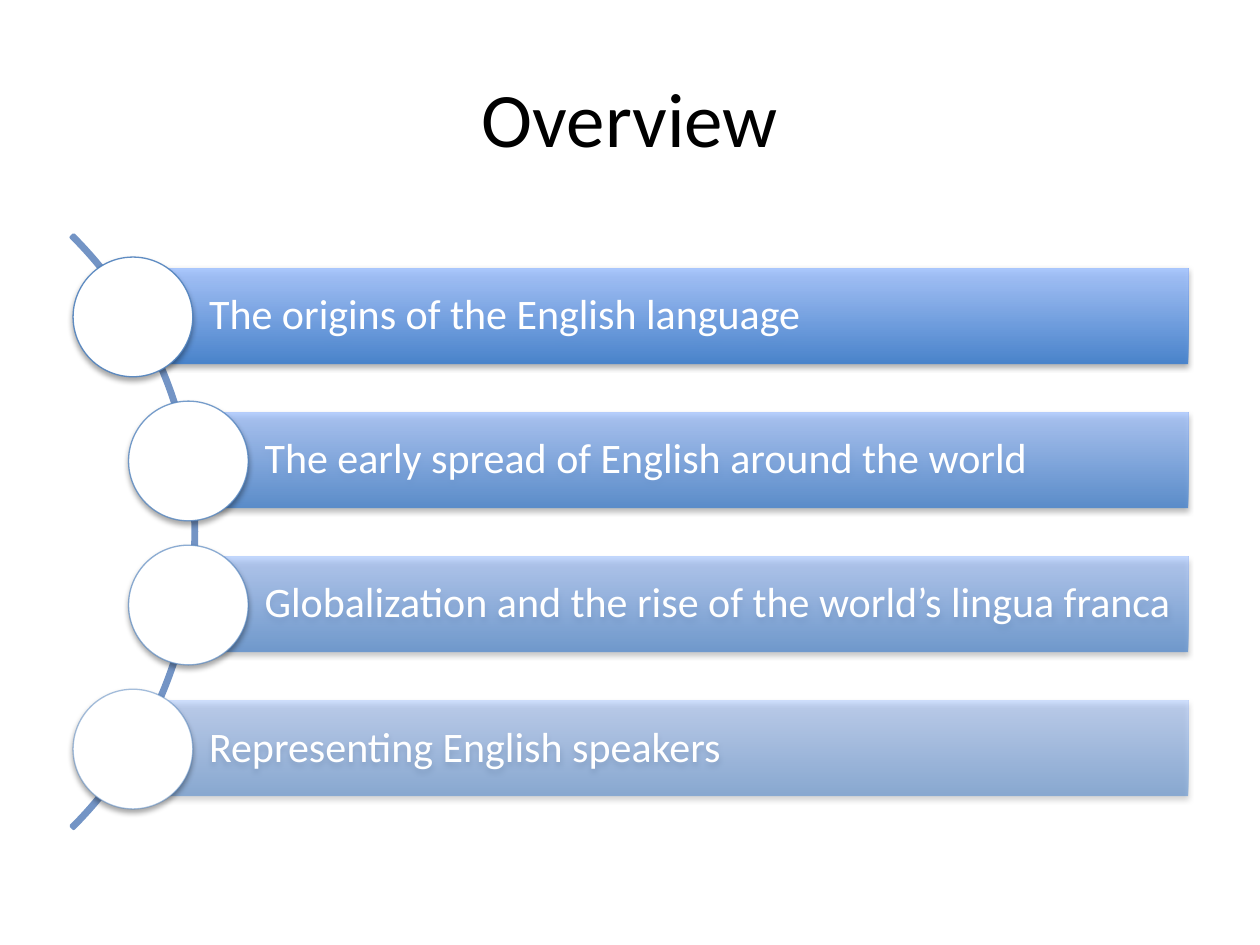
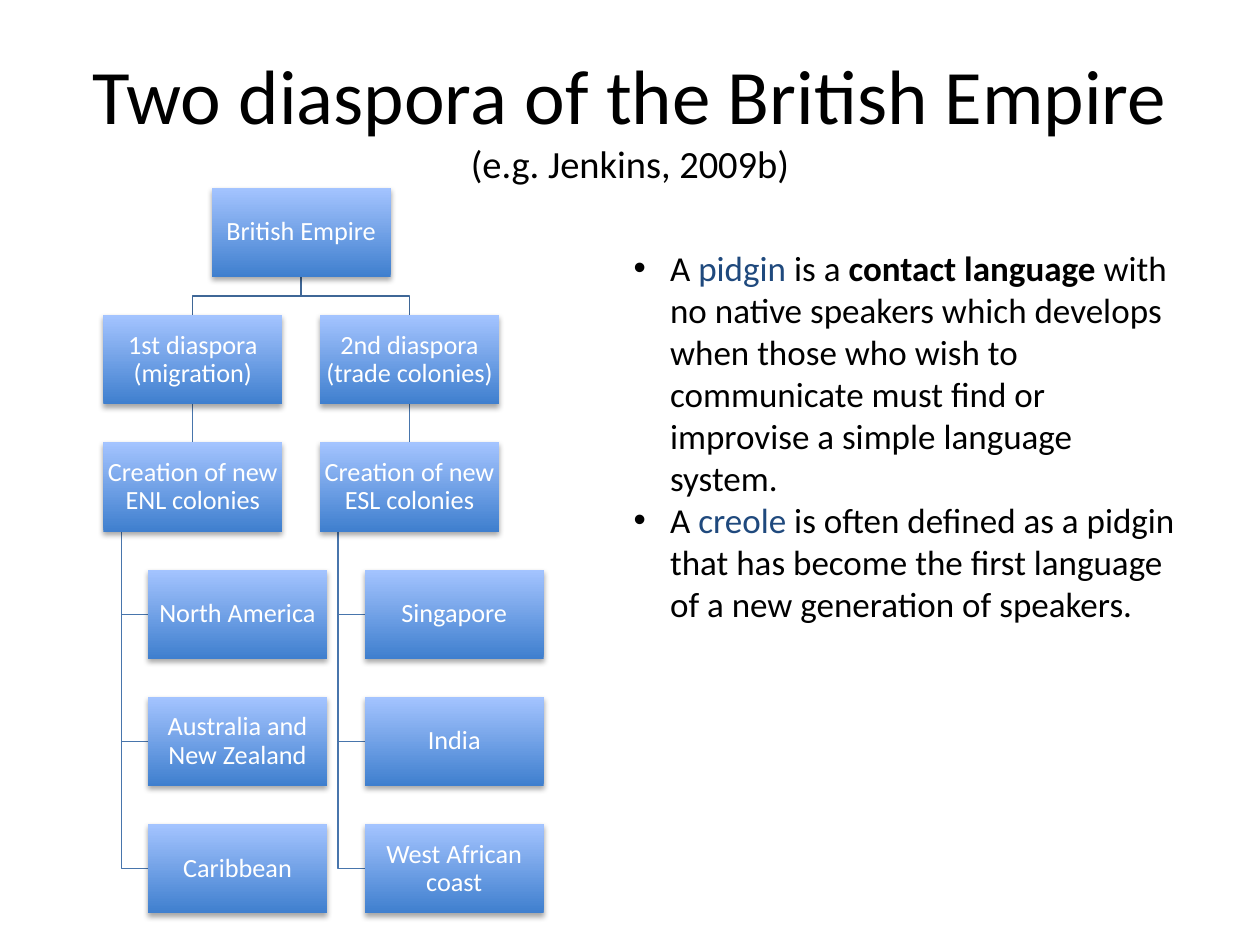
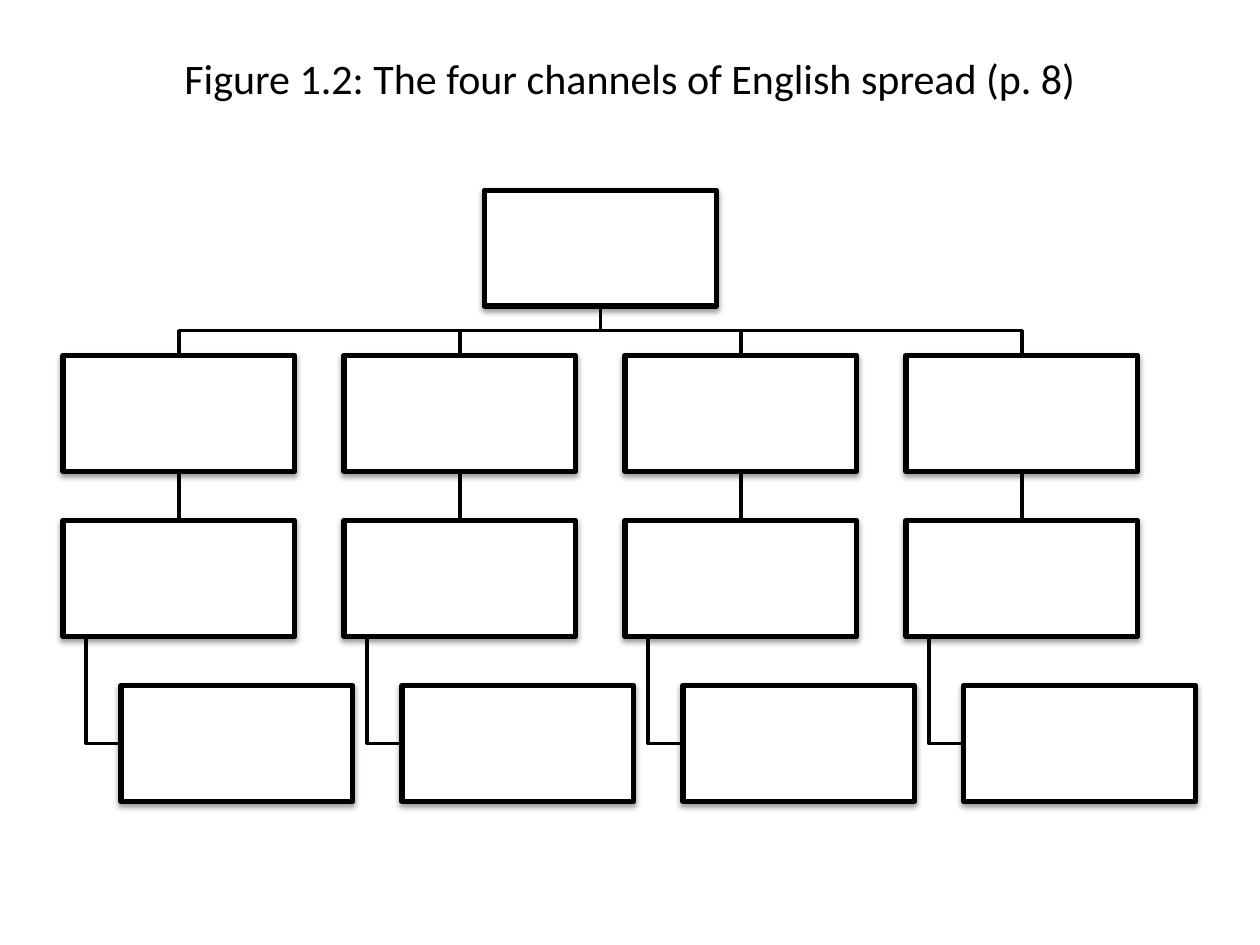
import pptx
import pptx.util
from lxml import etree
from pptx.dml.color import RGBColor
from pptx.enum.shapes import MSO_CONNECTOR, MSO_SHAPE
from pptx.enum.text import MSO_ANCHOR, PP_ALIGN
from pptx.oxml.ns import qn
from pptx.util import Inches

FONT = "Calibri"
BLACK = RGBColor(0x00, 0x00, 0x00)
WHITE = RGBColor(0xFF, 0xFF, 0xFF)
NAVY = RGBColor(0x1F, 0x49, 0x7D)
BLUE = RGBColor(0x4F, 0x81, 0xBD)
ARC_BLUE = RGBColor(0x73, 0x94, 0xC5)
LINK_BLUE = RGBColor(0x48, 0x75, 0xAC)
ROOT_LINK_BLUE = RGBColor(0x3F, 0x67, 0x97)
GRADIENT = (RGBColor(0x3F, 0x7F, 0xCE), RGBColor(0xA4, 0xC4, 0xFF))


def write(para, text, size=20, color=BLACK, bold=False, align=None, spacing=None):
    """Add a span to the paragraph and set the paragraph's format."""
    span = para.add_run()
    span.text = text
    span.font.name = FONT
    span.font.size = pptx.util.Pt(size)
    span.font.color.rgb = color
    span.font.bold = bold
    if align is not None:
        para.alignment = align
    if spacing is not None:
        para.line_spacing = spacing


def add_box(slide, kind, left, top, width, height, fill=None, line=None,
            line_width=0.75, opacity=100, shadow=35):
    """Add a shape with a soft shadow; without a fill it gets the blue gradient."""
    box = slide.shapes.add_shape(kind, Inches(left), Inches(top), Inches(width), Inches(height))
    if fill is None:
        box.fill.gradient()
        box.fill.gradient_angle = 90
        for stop, color in zip(box.fill.gradient_stops, GRADIENT):
            stop.color.rgb = color
    else:
        box.fill.solid()
        box.fill.fore_color.rgb = fill
    if line is None:
        box.line.fill.background()
    else:
        box.line.color.rgb = line
        box.line.width = pptx.util.Pt(line_width)
    properties = box.element.spPr
    if opacity < 100:
        for part in properties.iter(qn("a:gradFill"), qn("a:ln")):
            for color in part.iter(qn("a:srgbClr")):
                etree.SubElement(color, qn("a:alpha"), val=str(opacity * 1000))
    box.shadow.inherit = False
    outer = etree.SubElement(properties.find(qn("a:effectLst")), qn("a:outerShdw"),
                             blurRad="40000", dist="23000", dir="5400000", rotWithShape="0")
    color = etree.SubElement(outer, qn("a:srgbClr"), val=str(BLACK))
    etree.SubElement(color, qn("a:alpha"), val=str(shadow * 1000))
    return box


deck = pptx.Presentation()
deck.slide_width, deck.slide_height = Inches(10), Inches(7.5)

# Titles: top, height, anchor, spans with their sizes
titles = [
    (0.3, 1.25, MSO_ANCHOR.MIDDLE, [("Overview", 44)]),
    (0.3, 1.25, MSO_ANCHOR.MIDDLE,
     [("Two diaspora of the British Empire ", 44), ("(e.g. Jenkins, 2009b)", 22)]),
    (0.37, 0.98, MSO_ANCHOR.TOP,
     [("Figure 1.2: The four channels of English spread (p. 8)", 24)]),
]
slides = []
for top, height, anchor, spans in titles:
    slide = deck.slides.add_slide(deck.slide_layouts[5])
    title = slide.shapes.title
    title.left, title.top = Inches(0.5), Inches(top)
    title.width, title.height = Inches(9), Inches(height)
    title.text_frame.vertical_anchor = anchor
    for text, size in spans:
        write(title.text_frame.paragraphs[0], text, size=size, align=PP_ALIGN.CENTER)
    slides.append(slide)
overview, diaspora, channels = slides

# Overview: topics along an arc
arc = overview.shapes.add_shape(MSO_SHAPE.BLOCK_ARC, Inches(-5.1), Inches(0.89),
                                Inches(6.66), Inches(6.66))
for index, value in enumerate((189, 27, 0.004)):
    arc.adjustments[index] = value
arc.fill.background()
arc.line.color.rgb = ARC_BLUE
arc.line.width = pptx.util.Pt(2)
arc.shadow.inherit = False

topics = [
    (1.06, "The origins of the English language"),
    (1.5, "The early spread of English around the world"),
    (1.5, "Globalization and the rise of the world’s lingua franca"),
    (1.06, "Representing English speakers"),
]
for index, (left, topic) in enumerate(topics):
    top = 2.13 + 3.43 * index / 3
    opacity = round(90 - 40 * index / 3)
    bar = add_box(overview, MSO_SHAPE.RECTANGLE, left, top, 9.43 - left, 0.76, opacity=opacity)
    frame = bar.text_frame
    frame.word_wrap = True
    frame.margin_left = Inches(0.6)
    frame.margin_right = frame.margin_top = frame.margin_bottom = Inches(0.07)
    write(frame.paragraphs[0], topic, size=24, color=WHITE, align=PP_ALIGN.LEFT, spacing=0.9)
    add_box(overview, MSO_SHAPE.OVAL, left - 0.48, top - 0.09, 0.95, 0.95,
            fill=WHITE, line=BLUE, opacity=opacity)

# Both trees: a root, then columns of two stacked boxes followed by indented ones
trees = [
    dict(slide=diaspora, root="British Empire", left=0.82, top=1.49, width=1.42, height=0.71,
         column_pitch=1.72, row_pitch=1.01, link=LINK_BLUE, root_link=ROOT_LINK_BLUE,
         link_width=0.75, style={},
         columns=[
             ["1st diaspora (migration)", "Creation of new ENL colonies",
              "North America", "Australia and New Zealand", "Caribbean"],
             ["2nd diaspora (trade colonies)", "Creation of new ESL colonies",
              "Singapore", "India", "West African coast"],
         ]),
    dict(slide=channels, root="", left=0.5, top=1.51, width=1.84, height=0.92,
         column_pitch=2.23, row_pitch=1.31, link=BLACK, root_link=BLACK, link_width=2,
         style=dict(fill=WHITE, line=BLACK, line_width=3, shadow=38),
         columns=[[""] * 3] * 4),
]
for tree in trees:
    shapes = tree["slide"].shapes
    width, height, pitch = tree["width"], tree["height"], tree["row_pitch"]
    root_left = tree["left"] + tree["column_pitch"] * (len(tree["columns"]) - 1) / 2
    root_middle = root_left + width / 2
    root_bottom = tree["top"] + height
    boxes = [(root_left, tree["top"], tree["root"])]
    links = []
    for column, names in enumerate(tree["columns"]):
        left = tree["left"] + column * tree["column_pitch"]
        middle, stem = left + width / 2, left + width / 10
        for row, name in enumerate(names, start=1):
            top = tree["top"] + row * pitch
            indent = width / 4 if row > 2 else 0
            boxes.append((left + indent, top, name))
            if row == 1:
                bend = (root_bottom + top) / 2
                points = [(root_middle, root_bottom), (root_middle, bend),
                          (middle, bend), (middle, top)]
            elif row == 2:
                points = [(middle, top - pitch + height), (middle, top)]
            else:
                center = top + height / 2
                points = [(stem, root_bottom + 2 * pitch), (stem, center),
                          (left + indent, center)]
            links.append((points, tree["root_link"] if row == 1 else tree["link"]))

    for points, color in links:
        corners = [(Inches(x), Inches(y)) for x, y in points]
        if len(corners) == 2:
            link = shapes.add_connector(MSO_CONNECTOR.STRAIGHT, *corners[0], *corners[1])
            etree.SubElement(link.element.spPr, qn("a:effectLst"))
        else:
            builder = shapes.build_freeform(*corners[0])
            builder.add_line_segments(corners[1:], close=False)
            link = builder.convert_to_shape()
            link.fill.background()
            link.shadow.inherit = False
        link.line.color.rgb = color
        link.line.width = pptx.util.Pt(tree["link_width"])

    for left, top, name in boxes:
        box = add_box(tree["slide"], MSO_SHAPE.RECTANGLE, left, top, width, height, **tree["style"])
        if name:
            frame = box.text_frame
            frame.word_wrap = True
            frame.margin_left = frame.margin_right = Inches(0.01)
            frame.margin_top = frame.margin_bottom = Inches(0.01)
            write(frame.paragraphs[0], name, size=15, color=WHITE,
                  align=PP_ALIGN.CENTER, spacing=0.9)

# Diaspora: definitions beside the tree
definitions = [
    [("A ", {}), ("pidgin", dict(color=NAVY)), (" is a ", {}),
     ("contact language", dict(bold=True)),
     (" with no native speakers which develops when those who wish to communicate"
      " must find or improvise a simple language system.", {})],
    [("A ", {}), ("creole ", dict(color=NAVY)),
     ("is often defined as a pidgin that has become the first language"
      " of a new generation of speakers.", {})],
]
frame = diaspora.shapes.add_textbox(Inches(4.93), Inches(1.91),
                                    Inches(4.57), Inches(3.13)).text_frame
frame.word_wrap = True
for index, spans in enumerate(definitions):
    para = frame.add_paragraph() if index else frame.paragraphs[0]
    bullet = para._p.get_or_add_pPr()
    bullet.set("marL", str(Inches(0.29)))
    bullet.set("indent", str(Inches(-0.29)))
    etree.SubElement(bullet, qn("a:buFont"), typeface="Arial")
    etree.SubElement(bullet, qn("a:buChar"), char="•")
    for text, style in spans:
        write(para, text, **style)

deck.save("out.pptx")
